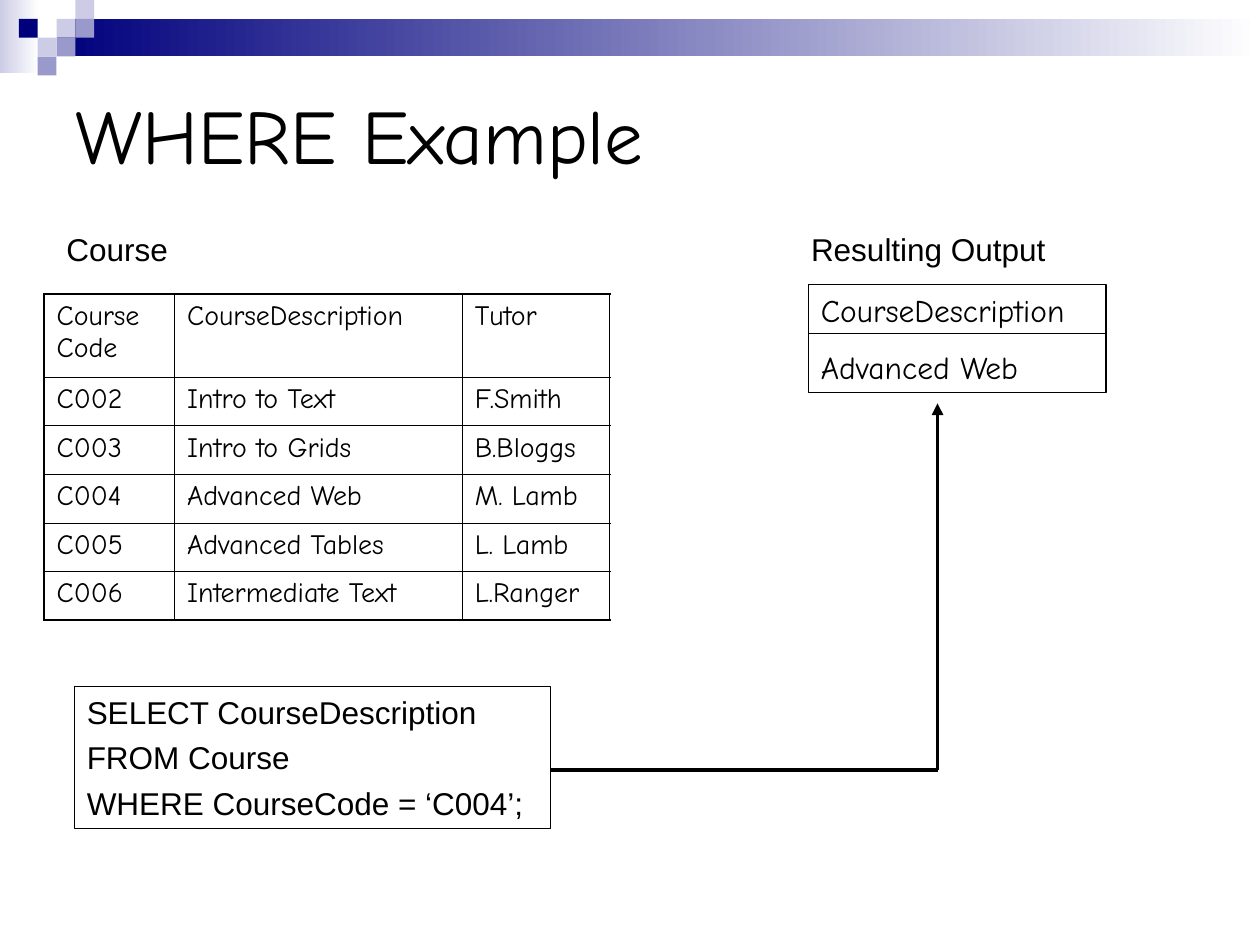
from lxml.etree import SubElement
from pptx import Presentation
from pptx.dml.color import RGBColor
from pptx.enum.shapes import MSO_CONNECTOR, MSO_SHAPE
from pptx.enum.text import MSO_ANCHOR, MSO_AUTO_SIZE, PP_ALIGN
from pptx.oxml.ns import qn
from pptx.util import Cm, Pt

BLACK = RGBColor(0x00, 0x00, 0x00)
WHITE = RGBColor(0xFF, 0xFF, 0xFF)
NAVY = RGBColor(0x00, 0x00, 0x7D)
LILAC = RGBColor(0xCC, 0xCC, 0xE6)
VIOLET = RGBColor(0x99, 0x99, 0xCC)

SANS = "Arial"
HAND = "Comic Neue"
SQUARE = 0.38  # side of one square in the corner pattern, cm

COURSES = [
    ("Course Code", "CourseDescription", "Tutor"),
    ("C002", "Intro to Text", "F.Smith"),
    ("C003", "Intro to Grids", "B.Bloggs"),
    ("C004", "Advanced Web", "M. Lamb"),
    ("C005", "Advanced Tables", "L. Lamb"),
    ("C006", "Intermediate Text", "L.Ranger"),
]


class SlideBuilder:
    """Holds the style and the current page; all lengths are in cm."""

    thin, thick = 0.45, 1.08  # table border widths, pt

    def __init__(self, deck):
        self.page = deck.slides.add_slide(deck.slide_layouts[5])

    def set_text(self, frame, lines, font, size, space=0):
        frame.text = "\n".join(lines)
        frame.word_wrap = True
        for index, para in enumerate(frame.paragraphs):
            para.alignment = PP_ALIGN.LEFT
            if index:
                para.space_before = Pt(space)
            for span in para.runs:
                span.font.name = font
                span.font.size = Pt(size)
                span.font.color.rgb = BLACK

    def title(self, text, left, top, width, height):
        box = self.page.shapes.title
        box.left, box.top, box.width, box.height = map(Cm, (left, top, width, height))
        self.set_text(box.text_frame, [text], HAND, 44)
        box.text_frame.vertical_anchor = MSO_ANCHOR.MIDDLE

    def rectangle(self, left, top, width, height):
        box = self.page.shapes.add_shape(
            MSO_SHAPE.RECTANGLE, Cm(left), Cm(top), Cm(width), Cm(height))
        box.shadow.inherit = False
        return box

    def square(self, column, row, color):
        box = self.rectangle(column * SQUARE, row * SQUARE, SQUARE, SQUARE)
        box.fill.solid()
        box.fill.fore_color.rgb = color
        box.line.fill.background()

    def fade(self, color, left, top, width, height):
        box = self.rectangle(left, top, width, height)
        box.fill.gradient()
        box.fill.gradient_angle = 0
        for stop, shade in zip(box.fill.gradient_stops, (color, WHITE)):
            stop.color.rgb = shade
        box.line.fill.background()

    def label(self, text, left, top, width, height):
        box = self.page.shapes.add_textbox(Cm(left), Cm(top), Cm(width), Cm(height))
        self.set_text(box.text_frame, [text], SANS, 18)

    def framed_text(self, lines, font, space, left, top, width, height):
        box = self.rectangle(left, top, width, height)
        box.fill.background()
        box.line.color.rgb = BLACK
        box.line.width = Pt(0.75)
        self.set_text(box.text_frame, lines, font, 18, space)
        box.text_frame.vertical_anchor = MSO_ANCHOR.TOP
        box.text_frame.auto_size = MSO_AUTO_SIZE.SHAPE_TO_FIT_TEXT

    def line(self, start, end, width, arrow=False):
        connector = self.page.shapes.add_connector(
            MSO_CONNECTOR.STRAIGHT, *map(Cm, start + end))
        connector.line.color.rgb = BLACK
        connector.line.width = Pt(width)
        properties = connector._element.spPr
        if arrow:
            SubElement(properties.find(qn("a:ln")), qn("a:tailEnd"), type="triangle")
        SubElement(properties, qn("a:effectLst"))

    def border(self, cell, side, width):
        edge = SubElement(cell._tc.get_or_add_tcPr(), qn(f"a:ln{side}"),
                          w=str(Pt(width)))
        fill = SubElement(edge, qn("a:solidFill"))
        SubElement(fill, qn("a:srgbClr"), val=str(BLACK))

    def table(self, rows, widths, heights, left, top):
        table = self.page.shapes.add_table(
            len(rows), len(widths), Cm(left), Cm(top),
            Cm(sum(widths)), Cm(sum(heights))).table
        table.first_row = table.horz_banding = False
        for column, width in zip(table.columns, widths):
            column.width = Cm(width)
        for row, height in zip(table.rows, heights):
            row.height = Cm(height)
        for y, values in enumerate(rows):
            for x, value in enumerate(values):
                cell = table.cell(y, x)
                self.set_text(cell.text_frame, [value], HAND, 16)
                outer = {"L": x == 0, "R": x == len(widths) - 1,
                         "T": y == 0, "B": y == len(rows) - 1}
                for side, is_outer in outer.items():
                    self.border(cell, side, self.thick if is_outer else self.thin)
                cell.fill.background()


def main():
    deck = Presentation()
    deck.slide_width, deck.slide_height = Cm(25.4), Cm(19.05)
    slide = SlideBuilder(deck)

    # Header band and corner squares
    slide.fade(LILAC, 0, 0, 0.79, 1.47)
    slide.fade(NAVY, 3 * SQUARE, SQUARE, 25.4 - 3 * SQUARE, 2 * SQUARE)
    for column, row, color in [
        (3, 1, LILAC), (4, 0, LILAC), (4, 1, VIOLET), (2, 2, LILAC),
        (1, 1, NAVY), (3, 2, VIOLET), (2, 3, VIOLET),
    ]:
        slide.square(column, row, color)

    slide.title("WHERE Example", 1.27, 1.27, 22.86, 2.84)

    # Source table
    slide.table(COURSES, [2.63, 5.8, 2.97], [1.68] + [0.98] * 5, 0.89, 5.92)
    slide.label("Course", 1.09, 4.52, 7.39, 1.02)
    slide.label("Resulting Output", 16.1, 4.52, 7.39, 1.02)

    # Query and the arrow to its result
    slide.framed_text(
        ["SELECT CourseDescription", "FROM Course", "WHERE CourseCode = ‘C004’;"],
        SANS, 4.5, 1.5, 13.84, 9.6, 2.87)
    corner = (18.9, 15.52)
    slide.line((11.1, 15.52), corner, 2.25)
    slide.line(corner, (18.9, 8.13), 2.25, arrow=True)

    # Result
    slide.framed_text(["CourseDescription", "Advanced Web"],
                      HAND, 11.2, 16.3, 5.74, 6, 2.18)
    slide.line((16.3, 6.73), (22.3, 6.73), 0.75)

    deck.save("out.pptx")


if __name__ == "__main__":
    main()
